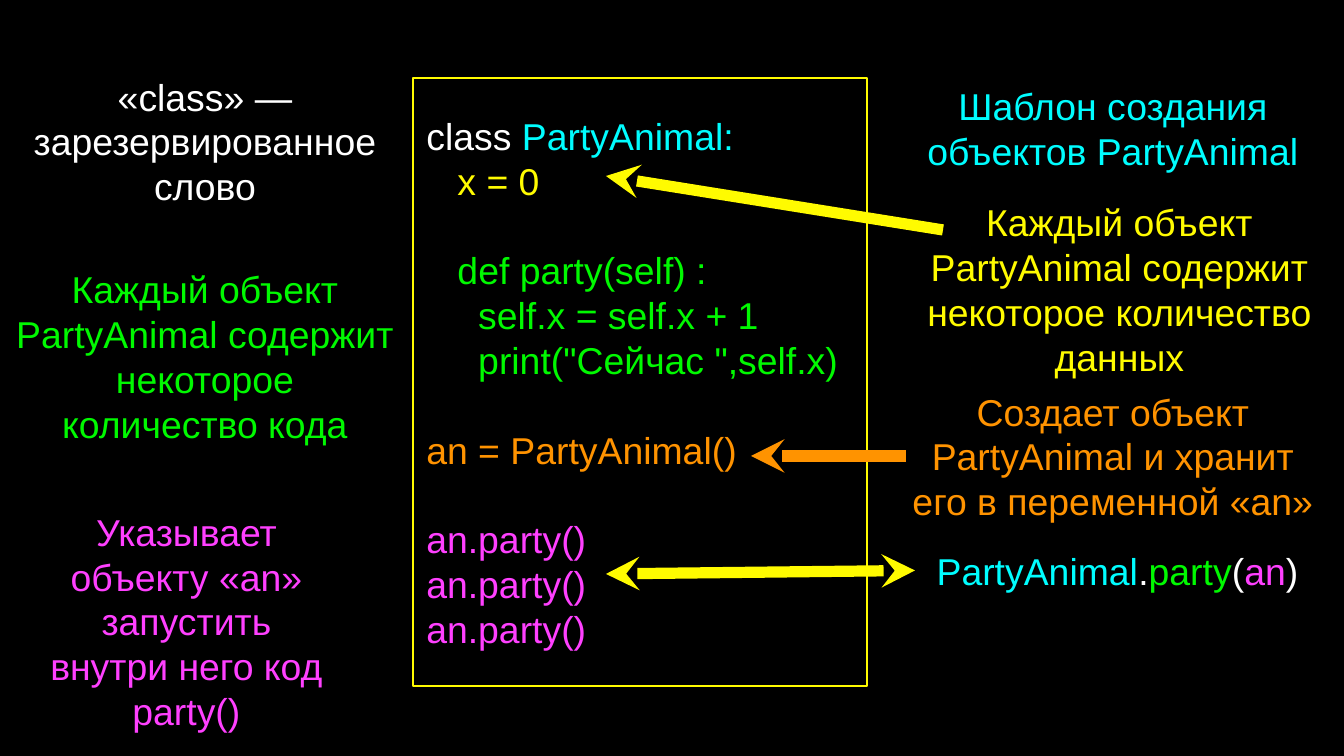
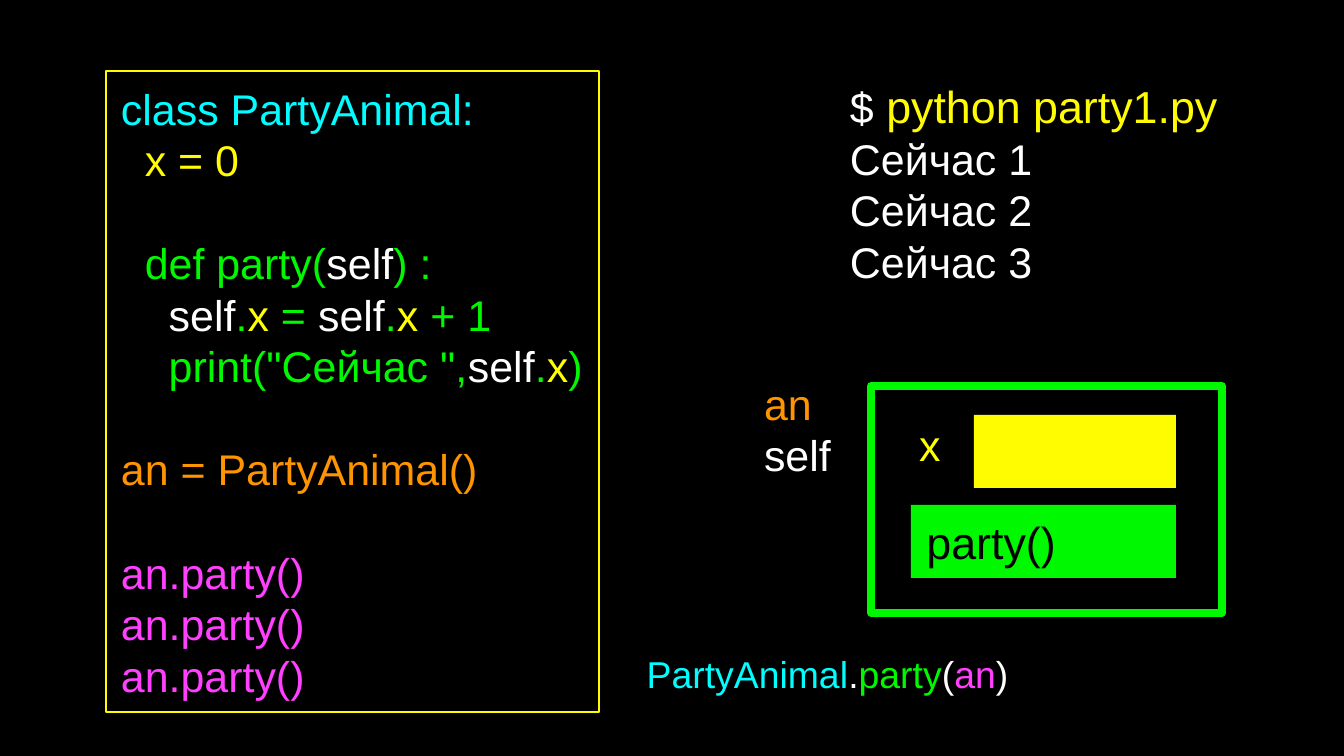
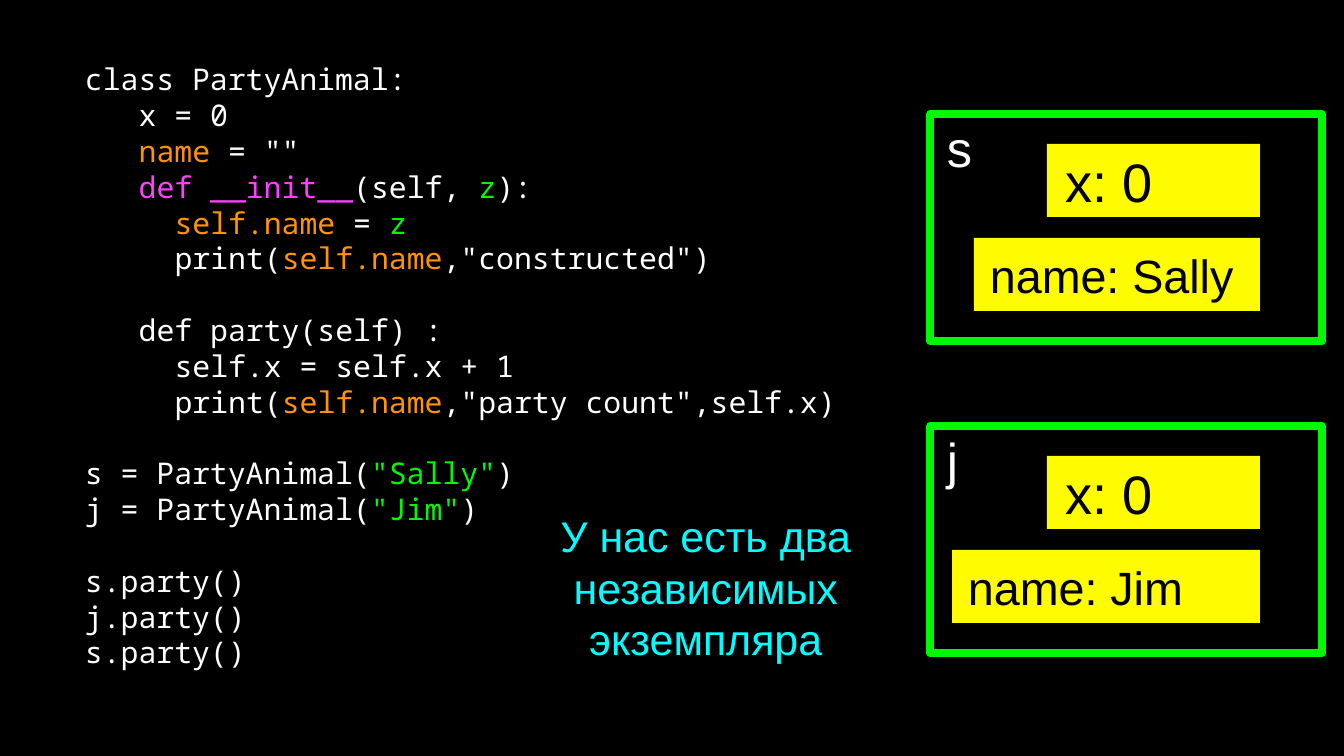
from dataclasses import dataclass

from lxml.etree import SubElement
from pptx import Presentation
from pptx.dml.color import RGBColor
from pptx.enum.shapes import MSO_CONNECTOR, MSO_SHAPE
from pptx.enum.text import MSO_ANCHOR, PP_ALIGN
from pptx.oxml.ns import qn
from pptx.util import Emu, Pt


@dataclass(frozen=True)
class Theme:
    black: str = "000000"
    white: str = "FFFFFF"
    yellow: str = "FFFB00"
    field: str = "FFFF00"
    cyan: str = "00FDFF"
    green: str = "00F900"
    orange: str = "FF9300"
    pink: str = "FF40FF"
    sans: str = "Arial"
    mono: str = "Noto Sans Mono"
    listing: int = 16
    note: int = 20
    code: int = 23
    method: int = 24
    attribute: int = 25
    instance: int = 27
    counter: int = 29
    leading: float = 1.2
    inset: int = 3
    thin: int = 1
    frame: int = 4
    arrow: int = 6


T = Theme()
SPACE_EM = {T.sans: 0.278, T.mono: 0.6}
EMU_PER_PX = 914400 / 134.4


def px(length):
    return Emu(round(length * EMU_PER_PX))


def rgb(color):
    return RGBColor.from_string(color)


@dataclass(frozen=True)
class Line:
    runs: tuple
    spaces: int = 0
    gap: int = 0


def line(spaces, *runs, gap=0):
    return Line(runs, spaces, gap)


def write(holder, lines, size, font=T.sans, align=PP_ALIGN.LEFT, anchor=MSO_ANCHOR.MIDDLE):
    frame = holder.text_frame
    frame.word_wrap = True
    frame.vertical_anchor = anchor
    frame.margin_left = frame.margin_right = px(T.inset)
    frame.margin_top = frame.margin_bottom = px(T.inset)
    for index, content in enumerate(lines):
        paragraph = frame.add_paragraph() if index else frame.paragraphs[0]
        paragraph.alignment = align
        paragraph.line_spacing = Pt(size * T.leading)
        paragraph.space_before = Pt(size * T.leading * content.gap)
        properties = paragraph._p.get_or_add_pPr()
        properties.set("marL", str(Pt(size * SPACE_EM[font] * content.spaces)))
        properties.set("indent", "0")
        for text, color, *own_size in content.runs:
            run = paragraph.add_run()
            run.text = text
            run.font.name = font
            run.font.size = Pt(own_size[0] if own_size else size)
            run.font.color.rgb = rgb(color)


def text_area(slide, box, lines, size, **style):
    area = slide.shapes.add_textbox(*map(px, box))
    write(area, lines, size, **style)
    return area


def note(slide, box, text, color, size=T.note):
    return text_area(slide, box, [line(0, (text, color))], size, align=PP_ALIGN.CENTER)


def block(shapes, box, fill=None, outline=None, width=T.thin):
    rectangle = shapes.add_shape(MSO_SHAPE.RECTANGLE, *map(px, box))
    rectangle.shadow.inherit = False
    if fill:
        rectangle.fill.solid()
        rectangle.fill.fore_color.rgb = rgb(fill)
    else:
        rectangle.fill.background()
    if outline:
        rectangle.line.color.rgb = rgb(outline)
        rectangle.line.width = Pt(width)
    else:
        rectangle.line.fill.background()
    return rectangle


def label_block(shapes, box, text, size):
    write(block(shapes, box, fill=T.yellow), [line(1, (text, T.black))], size)


def arrow(slide, tip, tail, color, target=None, both=False):
    connector = slide.shapes.add_connector(MSO_CONNECTOR.STRAIGHT, *map(px, tip + tail))
    if target:
        connector.end_connect(target, 1)
    connector.line.color.rgb = rgb(color)
    connector.line.width = Pt(T.arrow)
    properties = connector._element.spPr
    stroke = properties.find(qn("a:ln"))
    for end in ("a:headEnd", "a:tailEnd")[: 2 if both else 1]:
        SubElement(stroke, qn(end)).set("type", "stealth")
    SubElement(properties, qn("a:effectLst"))


def party_calls():
    create = line(1, ("an = PartyAnimal()", T.orange), gap=1)
    return [create] + [line(1, ("an.party()", T.pink), gap=gap) for gap in (1, 0, 0)]


def method_call(slide, left, top):
    runs = (("PartyAnimal", T.cyan), (".", T.white), ("party", T.green),
            ("(", T.white), ("an", T.pink), (")", T.white))
    return text_area(slide, (left, top, 405, 55), [line(0, *runs)], T.note,
                     align=PP_ALIGN.CENTER)


def code_panel(slide, box, lines, size):
    write(block(slide.shapes, box, outline=T.yellow), lines, size)


def annotated_class(slide):
    code_panel(slide, (413, 78, 454, 608), [
        line(1, ("class ", T.white), ("PartyAnimal:", T.cyan)),
        line(4, ("x = 0", T.yellow)),
        line(4, ("def party(self) :", T.green), gap=1),
        line(6, ("self.x = self.x + 1", T.green)),
        line(6, ('print("Сейчас ",self.x)', T.green)),
    ] + party_calls(), T.note)
    for box, text, color in (
        ((906, 52, 414, 152), "Шаблон создания объектов PartyAnimal", T.cyan),
        ((11, 78, 388, 126), "«class» — зарезервированное слово", T.white),
        ((919, 195, 401, 188),
         "Каждый объект PartyAnimal содержит некоторое количество данных", T.yellow),
        ((11, 259, 388, 194),
         "Каждый объект PartyAnimal содержит некоторое количество кода", T.green),
        ((36, 508, 301, 226),
         "Указывает объекту «an» запустить внутри него код party()", T.pink),
    ):
        note(slide, box, text, color)
    creation = note(slide, (906, 390, 414, 132),
                    "Создает объект PartyAnimal и хранит его в переменной «an»", T.orange)
    call = method_call(slide, 915, 543)
    arrow(slide, (606, 176), (943, 230), T.yellow)
    arrow(slide, (606, 574), (915, 570), T.yellow, target=call, both=True)
    arrow(slide, (751, 456), (906, 456), T.orange, target=creation)


def object_diagram(slide, left, top):
    block(slide.shapes, (left, top, 351, 227), outline=T.green, width=T.frame)
    block(slide.shapes, (left + 103, top + 29, 202, 73), fill=T.yellow)
    method = block(slide.shapes, (left + 40, top + 119, 265, 73), fill=T.green)
    write(method, [line(1, ("party()", T.black))], T.method)
    text_area(slide, (left - 110, top - 18, 81, 122),
              [line(0, ("an ", T.orange), ("self", T.white))], T.code)
    note(slide, (left + 31, top + 33, 56, 51), "x", T.field, T.code)


def running_class(slide):
    self_x = (("self", T.white), (".", T.green), ("x", T.field))
    code_panel(slide, (106, 71, 493, 641), [
        line(1, ("class PartyAnimal:", T.cyan)),
        line(3, ("x = 0", T.yellow)),
        line(3, ("def party(", T.green), ("self", T.white), (") :", T.green), gap=1),
        line(5, *self_x, (" = ", T.green), *self_x, (" + 1", T.green)),
        line(5, ('print("Сейчас ",', T.green), *self_x, (")", T.green)),
    ] + party_calls(), T.code)
    object_diagram(slide, 871, 386)
    command = line(0, ("$", T.white), (" ", T.white, T.method),
                   ("python party1.py", T.yellow, T.method))
    output = [line(0, (f"Сейчас {count}", T.white)) for count in (1, 2, 3)]
    text_area(slide, (847, 89, 454, 190), [command] + output, T.code)
    method_call(slide, 625, 646)


def instance_diagram(slide, left, top, variable, name, name_left):
    shapes = slide.shapes.add_group_shape().shapes
    right = 330
    frame = block(shapes, (left, top, 392, 227), outline=T.green, width=T.frame)
    write(frame, [line(1, (variable, T.white))], T.instance, anchor=MSO_ANCHOR.TOP)
    label_block(shapes, (left + 117, top + 30, right - 117, 73), "x: 0", T.counter)
    label_block(shapes, (left + name_left, top + 124, right - name_left, 73),
                f"name: {name}", T.attribute)


def two_instances(slide):
    own_name = ("self.name", T.orange)
    text_area(slide, (82, 26, 828, 679), [
        line(0, ("class PartyAnimal:", T.white)),
        line(3, ("x = 0", T.white)),
        line(3, ("name", T.orange), (' = ""', T.white)),
        line(3, ("def __init__", T.pink), ("(self, ", T.white), ("z", T.green),
             ("):", T.white)),
        line(5, own_name, (" = ", T.white), ("z", T.green)),
        line(5, ("print(", T.white), own_name, (',"constructed")', T.white)),
        line(3, ("def party(self) :", T.white), gap=1),
        line(5, ("self.x = self.x + 1", T.white)),
        line(5, ("print(", T.white), own_name, (',"party count",self.x)', T.white)),
        line(0, ("s = PartyAnimal(", T.white), ('"Sally"', T.green), (")", T.white), gap=1),
        line(0, ("j = PartyAnimal(", T.white), ('"Jim"', T.green), (")", T.white)),
        line(0, ("s.party()", T.white), gap=1),
        line(0, ("j.party()", T.white)),
        line(0, ("s.party()", T.white)),
    ], T.listing, font=T.mono)
    instance_diagram(slide, 930, 114, "s", "Sally", 44)
    instance_diagram(slide, 930, 426, "j", "Jim", 22)
    note(slide, (528, 511, 356, 152), "У нас есть два независимых экземпляра", T.cyan, T.code)


def main():
    deck = Presentation()
    deck.slide_width, deck.slide_height = px(1344), px(756)
    backdrop = deck.slide_master.background.fill
    backdrop.solid()
    backdrop.fore_color.rgb = rgb(T.black)
    for build in (annotated_class, running_class, two_instances):
        build(deck.slides.add_slide(deck.slide_layouts[6]))
    deck.save("out.pptx")


if __name__ == "__main__":
    main()
